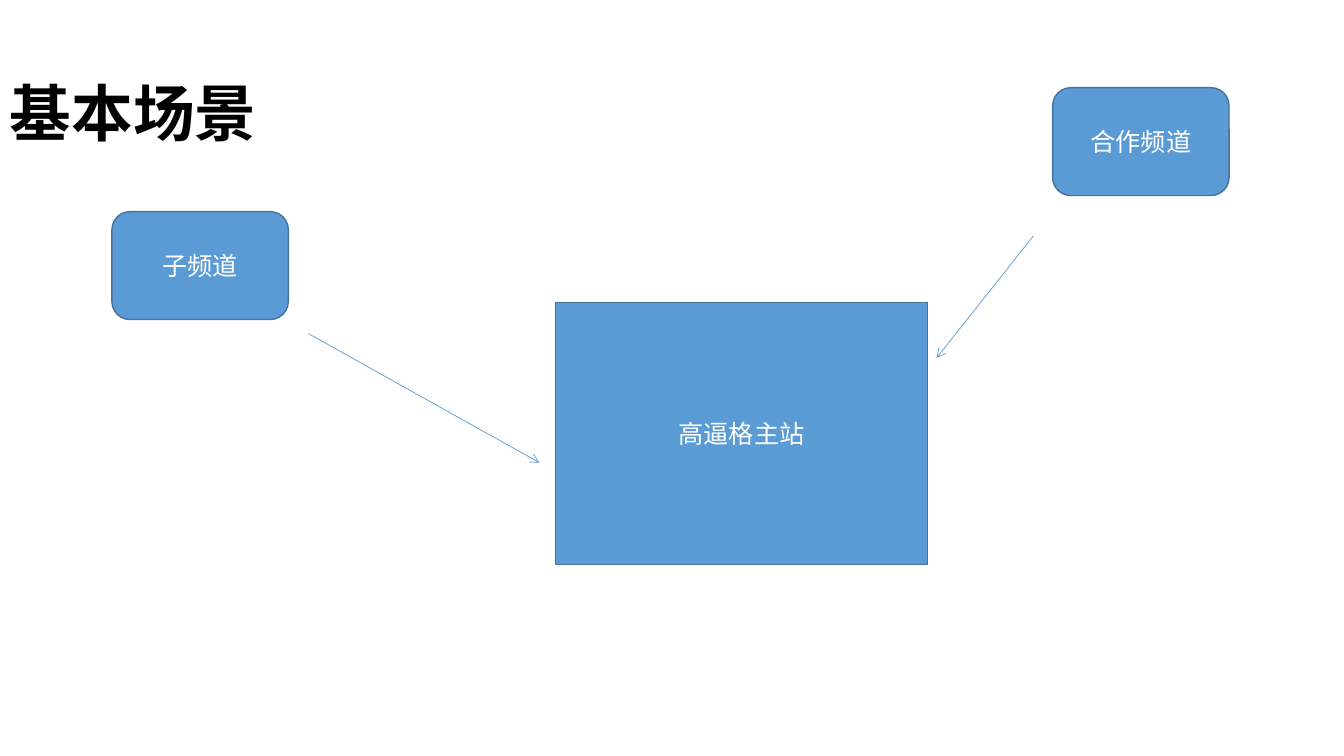
from lxml import etree
from pptx import Presentation
from pptx.dml.color import RGBColor
from pptx.enum.shapes import MSO_CONNECTOR, MSO_SHAPE
from pptx.enum.text import MSO_ANCHOR, PP_ALIGN
from pptx.oxml.ns import qn
from pptx.util import Inches, Pt

RECTANGLE = MSO_SHAPE.RECTANGLE
ROUNDED = MSO_SHAPE.ROUNDED_RECTANGLE
STRAIGHT = MSO_CONNECTOR.STRAIGHT
MIDDLE = MSO_ANCHOR.MIDDLE
LEFT = PP_ALIGN.LEFT
CENTER = PP_ALIGN.CENTER

BLACK = RGBColor(0x00, 0x00, 0x00)
WHITE = RGBColor(0xFF, 0xFF, 0xFF)
BLUE = RGBColor(0x5B, 0x9B, 0xD5)
DARK_BLUE = RGBColor(0x43, 0x73, 0x9E)

TITLE_FORMAT = {"name": "Calibri", "size": Pt(44), "bold": True}
LABEL_FORMAT = {"name": "Calibri", "size": Pt(18), "bold": False}


def write_text(box, text, font_format, color, alignment):
    frame = box.text_frame
    frame.word_wrap = True
    frame.vertical_anchor = MIDDLE
    para = frame.paragraphs[0]
    para.alignment = alignment
    span = para.add_run()
    span.text = text
    for attribute, value in font_format.items():
        setattr(span.font, attribute, value)
    span.font.color.rgb = color
    return para


deck = Presentation()
deck.slide_width = Inches(13.33)
deck.slide_height = Inches(7.5)
page = deck.slides.add_slide(deck.slide_layouts[6])

title = page.shapes.add_textbox(Inches(0), Inches(0.4), Inches(13.57), Inches(1.52))
title_para = write_text(title, "基本场景", TITLE_FORMAT, BLACK, LEFT)
title_para.line_spacing = 0.9

sites = [
    ("高逼格主站", RECTANGLE, 5.51, 3, 3.69, 2.6),
    ("子频道", ROUNDED, 1.11, 2.1, 1.75, 1.07),
    ("合作频道", ROUNDED, 10.44, 0.87, 1.75, 1.07),
]
for label, outline, left, top, width, height in sites:
    box = page.shapes.add_shape(
        outline, Inches(left), Inches(top), Inches(width), Inches(height)
    )
    box.shadow.inherit = False
    box.fill.solid()
    box.fill.fore_color.rgb = BLUE
    box.line.color.rgb = DARK_BLUE
    box.line.width = Pt(1)
    write_text(box, label, LABEL_FORMAT, WHITE, CENTER)

channel_arrows = [(3.06, 3.31, 5.35, 4.59), (10.25, 2.34, 9.29, 3.55)]
for ends in channel_arrows:
    arrow = page.shapes.add_connector(STRAIGHT, *[Inches(end) for end in ends])
    arrow.line.color.rgb = BLUE
    arrow.line.width = Pt(0.5)
    etree.SubElement(arrow.line._get_or_add_ln(), qn("a:tailEnd"), type="arrow")
    etree.SubElement(arrow._element.spPr, qn("a:effectLst"))

deck.save("out.pptx")
